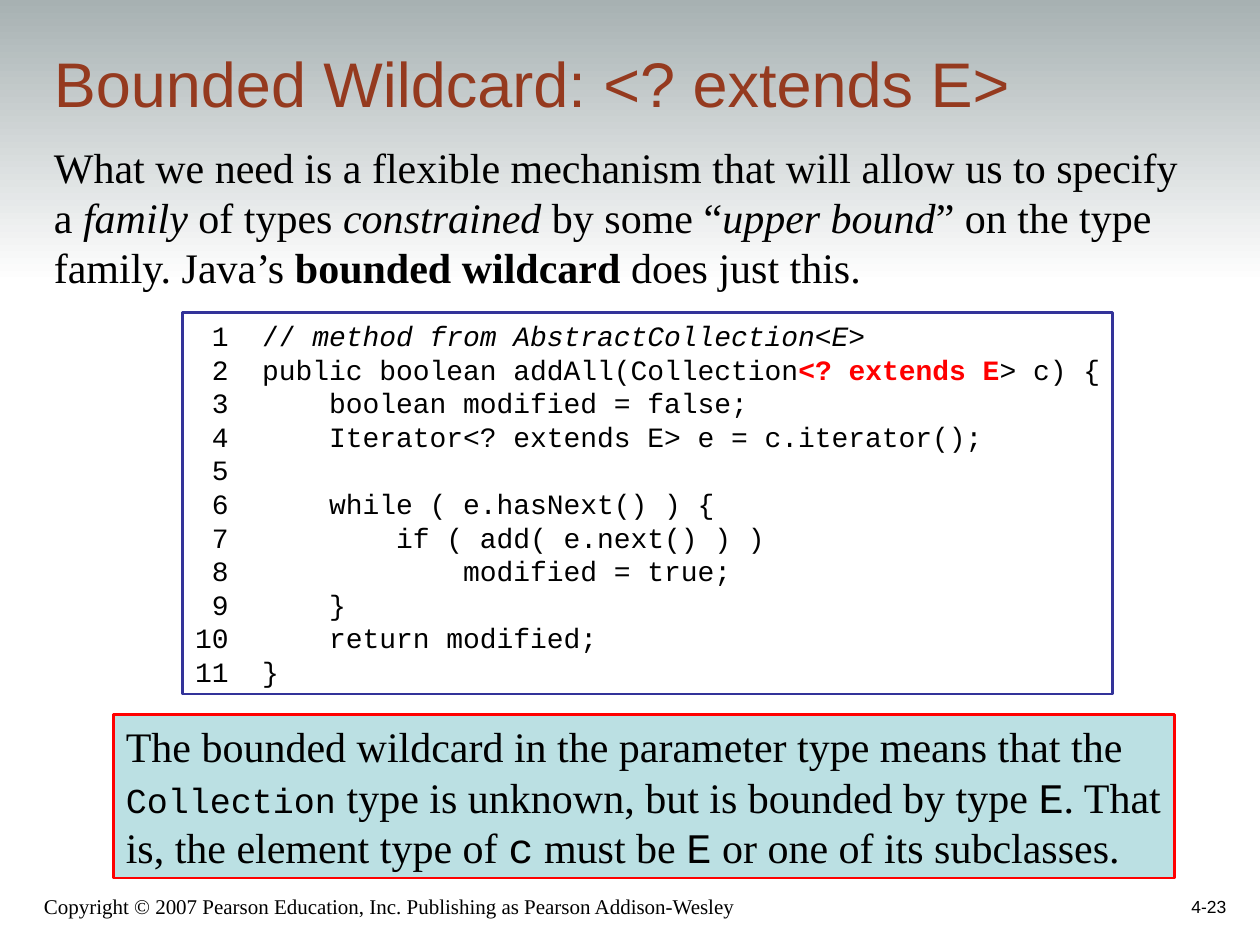
from pptx import Presentation
from pptx.dml.color import RGBColor
from pptx.enum.shapes import MSO_SHAPE
from pptx.enum.text import MSO_ANCHOR, PP_ALIGN
from pptx.util import Inches, Pt

RECTANGLE = MSO_SHAPE.RECTANGLE
MIDDLE, BOTTOM = MSO_ANCHOR.MIDDLE, MSO_ANCHOR.BOTTOM
LEFT, RIGHT = PP_ALIGN.LEFT, PP_ALIGN.RIGHT

BLACK = RGBColor(0x00, 0x00, 0x00)
WHITE = RGBColor(0xFF, 0xFF, 0xFF)
RED = RGBColor(0xFF, 0x00, 0x00)
RUST = RGBColor(0x95, 0x3A, 0x1F)
GREY = RGBColor(0xA7, 0xB1, 0xB2)
INDIGO = RGBColor(0x33, 0x33, 0x99)
PALE_TEAL = RGBColor(0xBB, 0xE0, 0xE3)

SANS, SERIF, MONO = "Arial", "Times New Roman", "Courier New"

# A line is a list of spans; a span is its text and what differs from the box's font.
ITALIC = {"italic": True}
BOLD = {"bold": True}
CODE = {"name": MONO}
SMALL_CODE = {"name": MONO, "size": 20}
HIGHLIGHT = {"bold": True, "color": RED}

TITLE = [[("Bounded Wildcard: <? extends E>", {})]]
INTRO = [
    [("What we need is a flexible mechanism that will allow us to specify", {})],
    [("a ", {}), ("family", ITALIC), (" of types ", {}), ("constrained", ITALIC),
     (" by some “", {}), ("upper bound", ITALIC), ("” on the type", {})],
    [("family. Java’s ", {}), ("bounded wildcard", BOLD), (" does just this.", {})],
]
LISTING = [
    [("// ", {}), ("method from AbstractCollection<E>", ITALIC)],
    [("public boolean addAll(Collection", {}), ("<? extends E", HIGHLIGHT), ("> c) {", {})],
    [("    boolean modified = false;", {})],
    [("    Iterator<? extends E> e = c.iterator();", {})],
    [],
    [("    while ( e.hasNext() ) {", {})],
    [("        if ( add( e.next() ) )", {})],
    [("            modified = true;", {})],
    [("    }", {})],
    [("    return modified;", {})],
    [("}", {})],
]
SUMMARY = [
    [("The bounded wildcard in the parameter type means that the", {})],
    [("Collection", SMALL_CODE), (" type is unknown, but is bounded by type ", {}),
     ("E", CODE), (". That", {})],
    [("is, the element type of ", {}), ("c", CODE), (" must be ", {}), ("E", CODE),
     (" or one of its subclasses.", {})],
]
COPYRIGHT = [[("Copyright © 2007 Pearson Education, Inc. Publishing as Pearson Addison-Wesley", {})]]
PAGE_NUMBER = [[("4-23", {})]]


def numbered(lines):
    return [[(f"{number:>2}  " if line else f"{number:>2}", {}), *line]
            for number, line in enumerate(lines, 1)]


def write(box, lines, name, size, color=BLACK, anchor=MIDDLE, align=LEFT, wrap=False):
    frame = box.text_frame
    frame.word_wrap = wrap
    frame.vertical_anchor = anchor
    for index, line in enumerate(lines):
        para = frame.add_paragraph() if index else frame.paragraphs[0]
        para.alignment = align
        for text, changes in line:
            style = {"name": name, "size": size, "color": color, **changes}
            span = para.add_run()
            span.text = text
            span.font.name = style["name"]
            span.font.size = Pt(style["size"])
            span.font.color.rgb = style["color"]
            span.font.bold = style.get("bold", False)
            span.font.italic = style.get("italic", False)


def add_text(page, place, lines, name, size, **options):
    box = page.shapes.add_textbox(*map(Inches, place))
    write(box, lines, name, size, **options)


def add_panel(page, place, line_color=None, fill_color=None):
    panel = page.shapes.add_shape(RECTANGLE, *map(Inches, place))
    panel.shadow.inherit = False
    if fill_color is None:
        panel.fill.background()
    else:
        panel.fill.solid()
        panel.fill.fore_color.rgb = fill_color
    if line_color is None:
        panel.line.fill.background()
    else:
        panel.line.color.rgb = line_color
        panel.line.width = Pt(1.5)
    return panel


def add_top_fade(page):
    band = add_panel(page, (0, 0, 10, 2.25))
    band.fill.gradient()
    band.fill.gradient_angle = 270
    for stop, color in zip(band.fill.gradient_stops, (GREY, WHITE)):
        stop.color.rgb = color


def main():
    deck = Presentation()
    deck.slide_width, deck.slide_height = Inches(10), Inches(7.5)
    page = deck.slides.add_slide(deck.slide_layouts[6])

    add_top_fade(page)
    add_text(page, (0.25, 6.92, 6.08, 0.42), COPYRIGHT, SERIF, 12, anchor=BOTTOM, wrap=True)
    add_text(page, (7.75, 6.83, 2.08, 0.5), PAGE_NUMBER, SANS, 10,
             anchor=BOTTOM, align=RIGHT, wrap=True)
    add_text(page, (0.33, 0.25, 8.47, 0.75), TITLE, SANS, 36,
             color=RUST, anchor=BOTTOM, wrap=True)
    add_text(page, (0.33, 1.07, 9.2, 1.3), INTRO, SERIF, 24)

    listing = add_panel(page, (1.45, 2.48, 7.38, 3.03), INDIGO)
    write(listing, numbered(LISTING), MONO, 16)
    summary = add_panel(page, (0.9, 5.67, 8.42, 1.3), RED, PALE_TEAL)
    write(summary, SUMMARY, SERIF, 24)

    deck.save("out.pptx")


if __name__ == "__main__":
    main()
